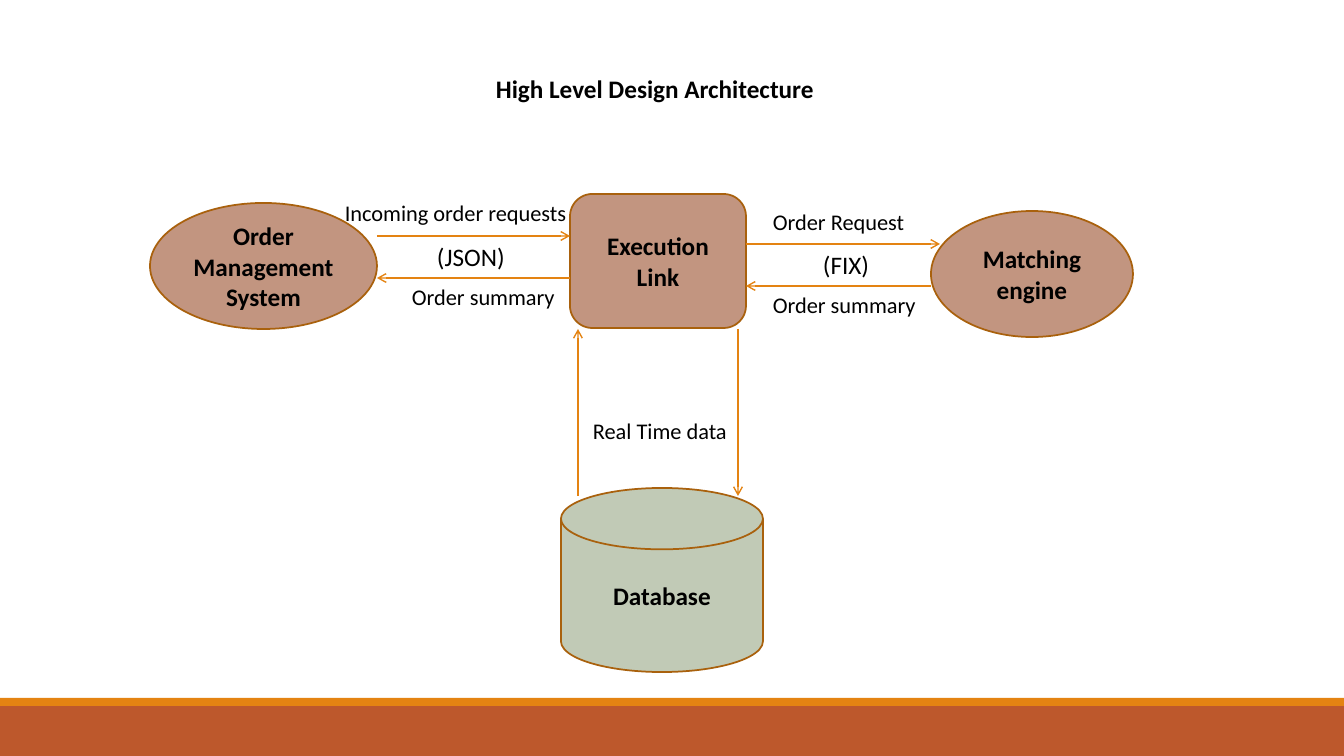
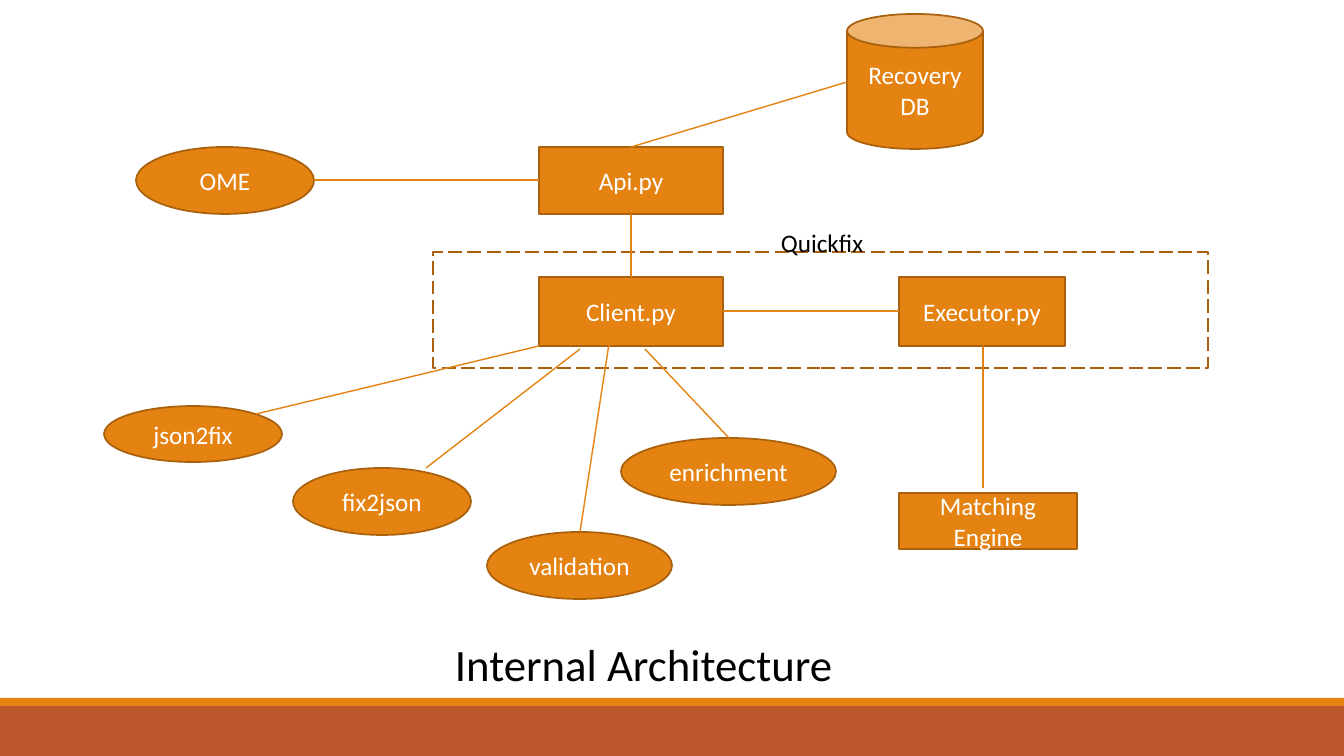
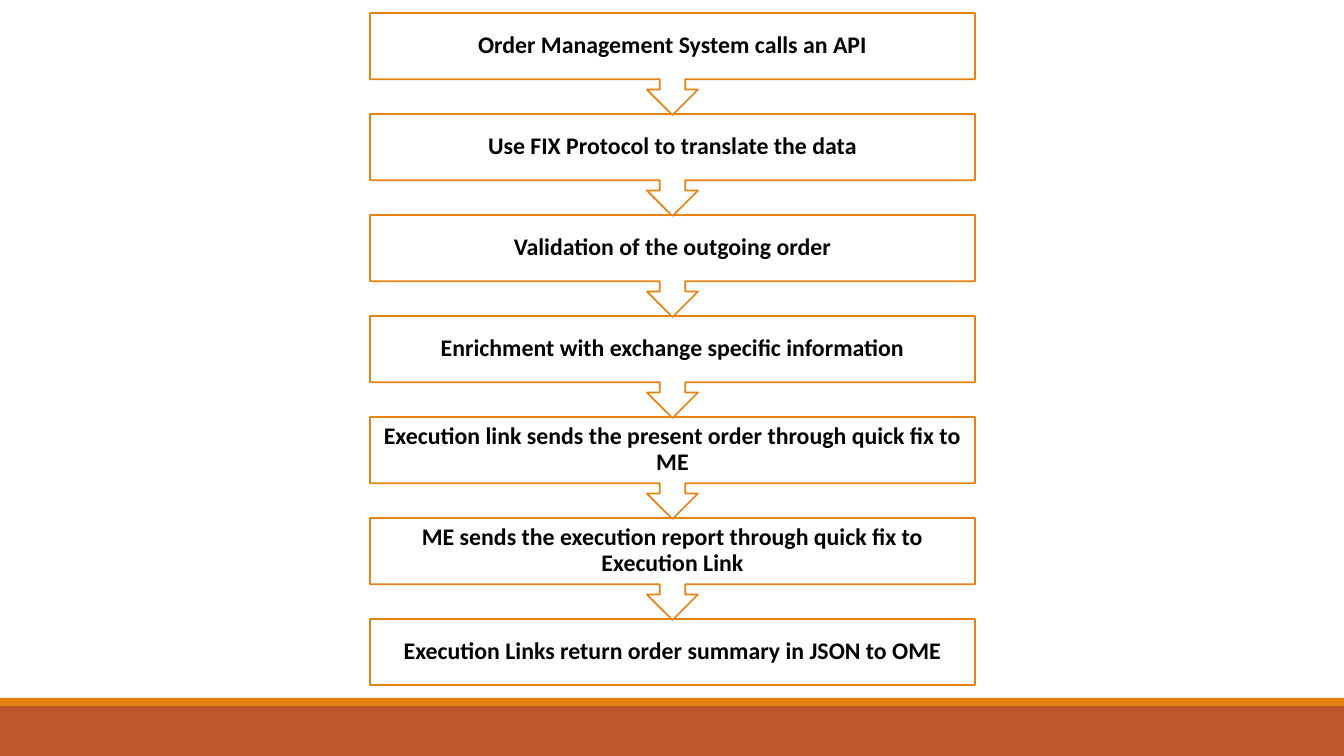
"""Build three slides on the design of an order execution link."""
from lxml.etree import SubElement as Sub
from pptx import Presentation
from pptx.dml.color import RGBColor as Rgb
from pptx.enum.dml import MSO_LINE_DASH_STYLE as Dash
from pptx.enum.shapes import MSO_CONNECTOR as Link, MSO_SHAPE as Kind
from pptx.enum.text import MSO_ANCHOR as Anchor, MSO_AUTO_SIZE as Fit, PP_ALIGN as Align
from pptx.oxml.ns import qn
from pptx.util import Emu, Pt

WIDE, HIGH = 1344, 756
SCALE = 12192000 / WIDE
FONT = "Calibri"
BLACK, WHITE = "000000", "FFFFFF"
ORANGE, BROWN, RUST = "E48312", "A9610D", "BD582C"
ROSE, SAGE = "C29580", "C1CAB6"


def px(*nums):
    return [Emu(round(num * SCALE)) for num in nums]


def paint(part, hue):
    part.solid()
    part.fore_color.rgb = Rgb.from_string(hue)


def write(frame, words, size, hue=BLACK, bold=False, align=Align.CENTER):
    para = frame.paragraphs[0]
    para.alignment = align
    run = para.add_run()
    run.text = words
    font = run.font
    font.name, font.size, font.bold = FONT, Pt(size), bold
    font.color.rgb = Rgb.from_string(hue)
    return para


def shape(slide, kind, box, fill=None, edge=None):
    item = slide.shapes.add_shape(kind, *px(*box))
    item.shadow.inherit = False
    if fill:
        paint(item.fill, fill)
    else:
        item.fill.background()
    if edge:
        paint(item.line.fill, edge)
        item.line.width = Pt(1.25)
    else:
        item.line.fill.background()
    return item


def node(slide, kind, box, words, fill=ORANGE, hue=WHITE, bold=False):
    item = shape(slide, kind, box, fill, BROWN)
    frame = item.text_frame
    frame.word_wrap = True
    frame.vertical_anchor = Anchor.MIDDLE
    write(frame, words, 18, hue, bold)


def label(slide, box, words, size=16, bold=False, wrap=False):
    frame = slide.shapes.add_textbox(*px(*box)).text_frame
    frame.word_wrap = wrap
    frame.auto_size = Fit.SHAPE_TO_FIT_TEXT
    write(frame, words, size, bold=bold, align=Align.LEFT)


def link(slide, ends, arrow=False):
    item = slide.shapes.add_connector(Link.STRAIGHT, *px(*ends))
    paint(item.line.fill, ORANGE)
    item.line.width = Pt(1)
    if arrow:
        Sub(item.line._get_or_add_ln(), qn("a:tailEnd"), type="arrow")
    Sub(item._element.spPr, qn("a:effectLst"))


def step(slide, top, words, last):
    left, width, height = 370, 605, 66
    if last:
        shape(slide, Kind.RECTANGLE, (left, top, width, height), WHITE, ORANGE)
    else:
        box = (left, top, width, 102)
        shape(slide, Kind.UP_ARROW_CALLOUT, box, WHITE, ORANGE).rotation = 180
    frame = slide.shapes.add_textbox(*px(left, top, width, height)).text_frame
    frame.word_wrap = True
    frame.vertical_anchor = Anchor.MIDDLE
    (frame.margin_left, frame.margin_top,
     frame.margin_right, frame.margin_bottom) = px(13, 13, 13, 13)
    write(frame, words, 17, bold=True).line_spacing = 0.9


def page(deck):
    slide = deck.slides.add_slide(deck.slide_layouts[6])
    shape(slide, Kind.RECTANGLE, (0, 706, WIDE, 50), RUST)
    shape(slide, Kind.RECTANGLE, (0, 698, WIDE, 8), ORANGE)
    return slide


def design(slide):
    for kind, box, words, fill in (
        (Kind.ROUNDED_RECTANGLE, (570, 194, 176, 134), "Execution Link", ROSE),
        (Kind.OVAL, (931, 211, 202, 126), "Matching engine", ROSE),
        (Kind.OVAL, (150, 203, 227, 126), "Order Management System", ROSE),
        (Kind.FLOWCHART_MAGNETIC_DISK, (561, 488, 202, 184), "Database", SAGE),
    ):
        node(slide, kind, box, words, fill, BLACK, True)
    for ends in (
        (377, 236, 570, 236), (570, 278, 377, 278),
        (746, 244, 940, 244), (931, 286, 746, 286),
        (738, 329, 738, 496), (578, 496, 578, 329),
    ):
        link(slide, ends, arrow=True)
    for box, words in (
        ((335, 194, 245, 37), "Incoming order requests"),
        ((402, 278, 165, 37), "Order summary"),
        ((763, 203, 153, 37), "Order Request"),
        ((763, 286, 165, 37), "Order summary"),
        ((583, 412, 155, 37), "Real Time data"),
    ):
        label(slide, box, words)
    label(slide, (427, 236, 89, 40), "(JSON)", 18)
    label(slide, (813, 244, 68, 40), "(FIX)", 18)
    label(slide, (486, 68, 341, 40), "High Level Design Architecture", 18, bold=True)


def inner(slide):
    for kind, box, words in (
        (Kind.RECTANGLE, (539, 277, 184, 69), "Client.py"),
        (Kind.RECTANGLE, (899, 277, 166, 69), "Executor.py"),
        (Kind.RECTANGLE, (899, 493, 178, 56), "Matching Engine"),
        (Kind.RECTANGLE, (539, 147, 184, 67), "Api.py"),
        (Kind.OVAL, (104, 406, 178, 56), "json2fix"),
        (Kind.OVAL, (293, 468, 178, 67), "fix2json"),
        (Kind.OVAL, (621, 438, 215, 67), "enrichment"),
        (Kind.OVAL, (487, 532, 185, 67), "validation"),
        (Kind.OVAL, (136, 147, 178, 67), "OME"),
        (Kind.CAN, (847, 14, 136, 135), "Recovery DB"),
    ):
        node(slide, kind, box, words)
    zone = shape(slide, Kind.RECTANGLE, (433, 252, 775, 116), edge=BROWN)
    zone.line.dash_style = Dash.LONG_DASH
    for ends in (
        (631, 147, 847, 82), (314, 180, 539, 180), (631, 214, 631, 277),
        (723, 311, 899, 311), (256, 414, 539, 346), (426, 468, 580, 349),
        (580, 532, 609, 344), (729, 438, 645, 349), (983, 346, 983, 488),
    ):
        link(slide, ends)
    label(slide, (771, 222, 196, 40), "Quickfix", 18, wrap=True)
    label(slide, (445, 632, 402, 65), "Internal Architecture", 32)


def flow(slide):
    steps = (
        "Order Management System calls an API",
        "Use FIX Protocol to translate the data",
        "Validation of the outgoing order",
        "Enrichment with exchange specific information",
        "Execution link sends the present order through quick fix to ME",
        "ME sends the execution report through quick fix to Execution Link",
        "Execution Links return order summary in JSON to OME",
    )
    end = len(steps) - 1
    for row in range(end, -1, -1):
        step(slide, 13 + 101 * row, steps[row], row == end)


def main():
    deck = Presentation()
    deck.slide_width, deck.slide_height = px(WIDE, HIGH)
    for draw in (design, inner, flow):
        draw(page(deck))
    deck.save("out.pptx")


main()
